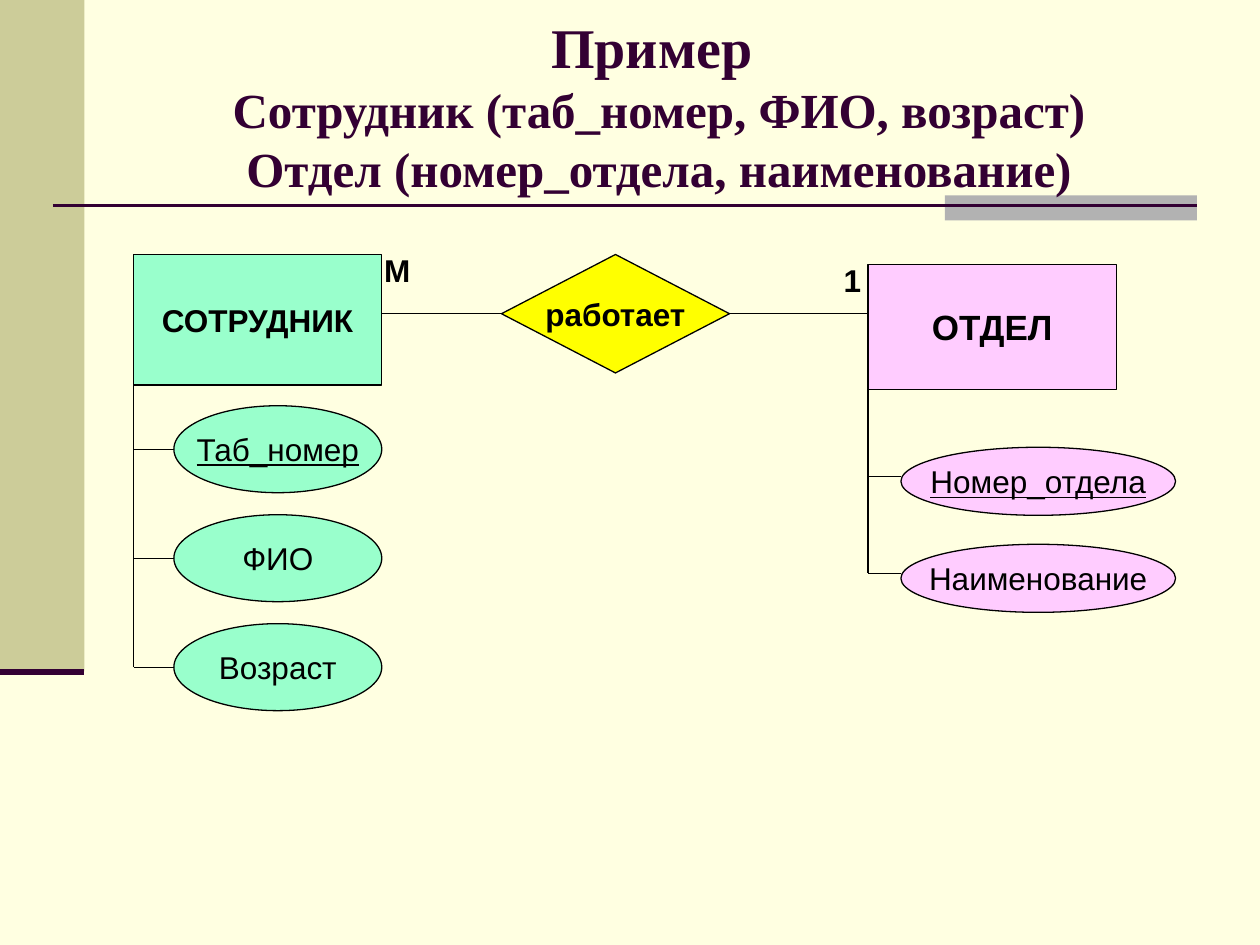
from lxml.etree import SubElement
from pptx import Presentation
from pptx.dml.color import RGBColor
from pptx.enum.shapes import MSO_CONNECTOR, MSO_SHAPE
from pptx.enum.text import MSO_ANCHOR, PP_ALIGN
from pptx.oxml.ns import qn
from pptx.util import Inches, Pt

# Content
HEADING = [
    ("Пример ", "title"),
    ("Сотрудник (таб_номер, ФИО, возраст)", "subtitle"),
    ("Отдел (номер_отдела, наименование)", "subtitle"),
]
# Boxes are (left, top, width, height) in grid columns and rows.
# "step" is the distance between attributes, "lift" raises a branch line.
ENTITIES = [
    {"name": "СОТРУДНИК", "fill": "mint", "size": "body", "box": (10.6, 20.2, 19.7, 10.35),
     "attributes": ["Таб_номер", "ФИО", "Возраст"],
     "first": (13.8, 32.2, 16.5, 6.9), "step": 8.65, "lift": 0,
     "cardinality": "М", "cardinality_at": (29.5, 19.4)},
    {"name": "ОТДЕЛ", "fill": "pink", "size": "entity", "box": (68.9, 21, 19.7, 9.9),
     "attributes": ["Номер_отдела", "Наименование"],
     "first": (71.5, 35.5, 21.8, 5.4), "step": 7.7, "lift": 0.4,
     "cardinality": "1", "cardinality_at": (65.7, 20.2)},
]
RELATION = {"name": "работает", "box": (39.8, 20.2, 18.1, 9.4)}

THEME = {
    "color": {"paper": "FFFFE1", "olive": "CCCC99", "gray": "B2B2B2", "plum": "330033",
              "ink": "000000", "mint": "99FFCC", "pink": "FFCCFF", "yellow": "FFFF00"},
    "size": {"title": 32, "subtitle": 28, "entity": 20, "body": 18},
    "font": {"heading": "Times New Roman", "diagram": "Arial"},
    "line": {"thin": 0.75, "rule": 1.5, "edge": 3.5},
}
FRAME = {"vertical_anchor": MSO_ANCHOR.MIDDLE, "word_wrap": False,
         "margin_left": Inches(0.1), "margin_right": Inches(0.1),
         "margin_top": Inches(0.05), "margin_bottom": Inches(0.05)}

# Slide and its grid of 100 columns by 75 rows
deck = Presentation()
deck.slide_width, deck.slide_height = Inches(10), Inches(7.5)
COLUMN, ROW = deck.slide_width / 100, deck.slide_height / 75
slide = deck.slides.add_slide(deck.slide_layouts[6])


def color(key):
    return RGBColor.from_string(THEME["color"][key])


def place(box):
    return [round(n * unit) for n, unit in zip(box, (COLUMN, ROW, COLUMN, ROW))]


def apply(target, values):
    for key, value in values.items():
        setattr(target, key, value)


def write(paragraph, text, size="body", font="diagram", ink="ink", **styles):
    run = paragraph.add_run()
    run.text = text
    paragraph.alignment = PP_ALIGN.CENTER
    apply(run.font, {"size": Pt(THEME["size"][size]), "name": THEME["font"][font], **styles})
    run.font.color.rgb = color(ink)


def draw(kind, box, fill, text=None, **styles):
    shape = slide.shapes.add_shape(kind, *place(box))
    shape.shadow.inherit = False
    shape.fill.solid()
    shape.fill.fore_color.rgb = color(fill)
    if text is None:
        shape.line.fill.background()
        return
    shape.line.color.rgb = color("ink")
    shape.line.width = Pt(THEME["line"]["thin"])
    apply(shape.text_frame, FRAME)
    write(shape.text_frame.paragraphs[0], text, **styles)


def connect(x1, y1, x2, y2, ink="ink", weight="thin"):
    line = slide.shapes.add_connector(MSO_CONNECTOR.STRAIGHT, *place((x1, y1, x2, y2)))
    line.line.color.rgb = color(ink)
    line.line.width = Pt(THEME["line"][weight])
    SubElement(line._element.spPr, qn("a:effectLst"))


def text_area(box, **changes):
    frame = slide.shapes.add_textbox(*place(box)).text_frame
    apply(frame, {**FRAME, "word_wrap": True, **changes})
    return frame.paragraphs[0]


# Background and decoration
slide.background.fill.solid()
slide.background.fill.fore_color.rgb = color("paper")
draw(MSO_SHAPE.RECTANGLE, (0, 0, 6.7, 53.3), "olive")
draw(MSO_SHAPE.RECTANGLE, (75, 15.5, 20, 2), "gray")
connect(4.2, 16.3, 95, 16.3, "plum", "rule")
connect(0, 53.3, 6.7, 53.3, "plum", "edge")

# Heading: one paragraph with line breaks
heading = text_area((9.8, 2.1, 85, 12.5))
for index, (words, size) in enumerate(HEADING):
    if index:
        heading.add_line_break()
    write(heading, words, size, "heading", "plum", bold=True)

# Entities with their attribute trees
for entity in ENTITIES:
    left, top, width, height = entity["box"]
    draw(MSO_SHAPE.RECTANGLE, entity["box"], entity["fill"], entity["name"],
         size=entity["size"], bold=True)
    x, y, w, h = entity["first"]
    for index, attribute in enumerate(entity["attributes"]):
        oval_top = y + index * entity["step"]
        branch = oval_top + h / 2 - entity["lift"]
        draw(MSO_SHAPE.OVAL, (x, oval_top, w, h), entity["fill"], attribute,
             underline=index == 0)  # the key comes first
        connect(left, branch, x, branch)
    connect(left, top + height, left, branch)

# Relation between the entities
left, top, width, height = RELATION["box"]
middle = top + height / 2
employee, department = (entity["box"] for entity in ENTITIES)
draw(MSO_SHAPE.DIAMOND, RELATION["box"], "yellow", RELATION["name"], bold=True)
connect(employee[0] + employee[2], middle, left, middle)
connect(left + width, middle, department[0], middle)
for entity in ENTITIES:
    label = text_area((*entity["cardinality_at"], 3.9, 4), vertical_anchor=MSO_ANCHOR.TOP)
    write(label, entity["cardinality"], bold=True)

deck.save("out.pptx")
